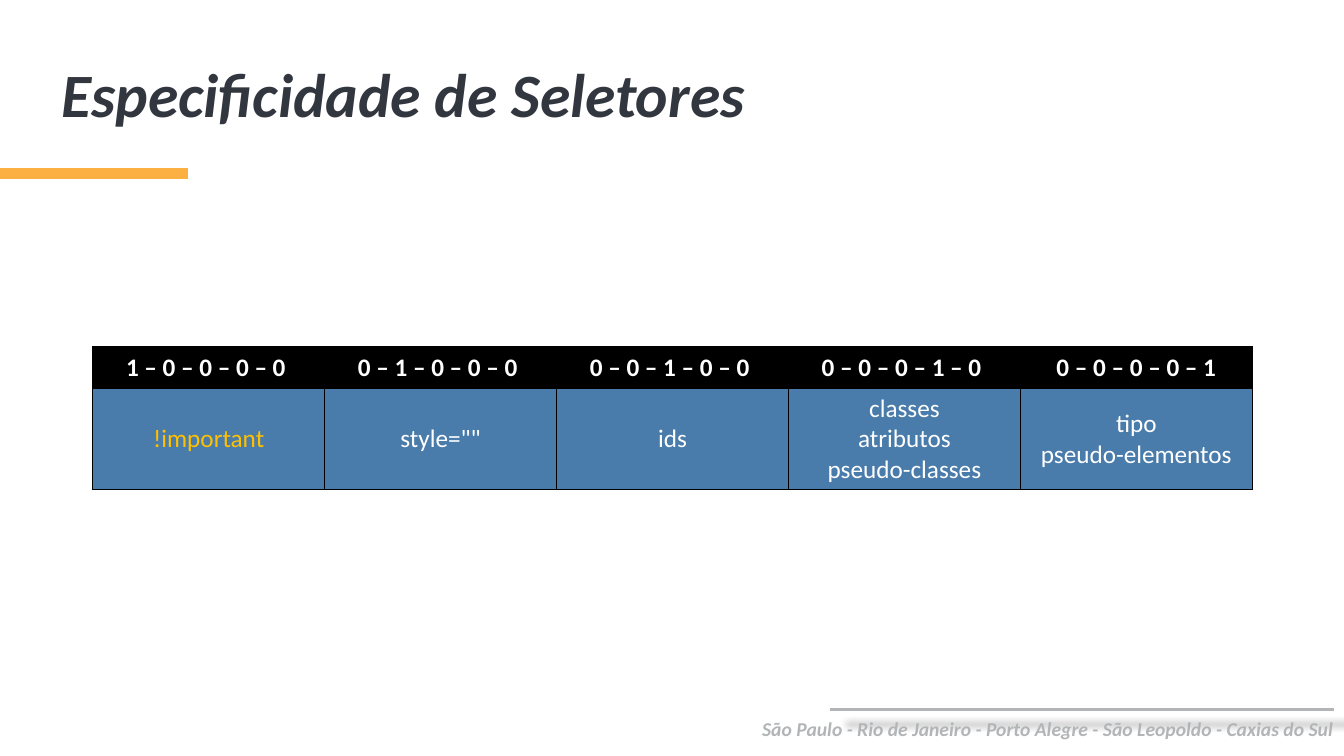
from lxml import etree
from pptx import Presentation
from pptx.dml.color import RGBColor
from pptx.enum.shapes import MSO_CONNECTOR
from pptx.enum.text import MSO_ANCHOR, PP_ALIGN
from pptx.oxml import parse_xml
from pptx.oxml.ns import nsdecls, qn
from pptx.util import Inches, Pt

FONT = "Calibri"
COLORS = {
    "accent": "FBB041",
    "footer": "B2B5B7",
    "title": "32363F",
    "black": "000000",
    "body": "497CAB",
    "white": "FFFFFF",
    "important": "FFC000",
}
SELECTORS = [
    "!important",
    'style=""',
    "ids",
    "classes\natributos\npseudo-classes",
    "tipo\npseudo-elementos",
]


def rgb(name):
    return RGBColor.from_string(COLORS[name])


def style_paragraph(paragraph, size, color, bold=False, italic=False, align=None):
    font = paragraph.font
    font.name, font.size = FONT, Pt(size)
    font.bold, font.italic = bold, italic
    font.color.rgb = rgb(color)
    paragraph.alignment = align


def add_rule(slide, left, right, y, color, width):
    """Draw a horizontal line with no shadow and return its effect list."""
    rule = slide.shapes.add_connector(
        MSO_CONNECTOR.STRAIGHT, Inches(left), Inches(y), Inches(right), Inches(y))
    rule.line.color.rgb = rgb(color)
    rule.line.width = Pt(width)
    return etree.SubElement(rule._element.spPr, qn("a:effectLst"))


def add_soft_shadow(effects):
    effects.append(parse_xml(
        f'<a:outerShdw {nsdecls("a")} blurRad="{Pt(5)}" sx="102000" sy="102000" '
        f'algn="ctr" rotWithShape="0"><a:srgbClr val="{COLORS["black"]}">'
        '<a:alpha val="40000"/></a:srgbClr></a:outerShdw>'))


def add_label(slide, text, left, top, width, height, size, color,
              align=PP_ALIGN.LEFT, anchor=MSO_ANCHOR.TOP, spacing=1.0):
    label = slide.shapes.add_textbox(
        Inches(left), Inches(top), Inches(width), Inches(height))
    frame = label.text_frame
    frame.word_wrap = True
    frame.vertical_anchor = anchor
    frame.text = text
    paragraph = frame.paragraphs[0]
    style_paragraph(paragraph, size, color, bold=True, italic=True, align=align)
    paragraph.line_spacing = spacing


def add_borders(cell):
    properties = cell._tc.get_or_add_tcPr()
    for position, side in enumerate(("lnL", "lnR", "lnT", "lnB")):
        properties.insert(position, parse_xml(
            f'<a:{side} {nsdecls("a")} w="{Pt(1)}"><a:solidFill>'
            f'<a:srgbClr val="{COLORS["black"]}"/></a:solidFill></a:{side}>'))


def fill_cell(cell, text, fill, color, bold):
    cell.text = text
    cell.vertical_anchor = MSO_ANCHOR.MIDDLE
    cell.fill.solid()
    cell.fill.fore_color.rgb = rgb(fill)
    for paragraph in cell.text_frame.paragraphs:
        style_paragraph(paragraph, 18, color, bold=bold, align=PP_ALIGN.CENTER)
    add_borders(cell)


def specificity(rank):
    """Weight of a selector group: a single 1 in the position of its rank."""
    last = len(SELECTORS) - 1
    weight = " – ".join(str(int(i == rank)) for i in range(last + 1))
    return weight if rank == last else weight + " "


def add_specificity_table(slide):
    table = slide.shapes.add_table(
        2, len(SELECTORS), Inches(0.92), Inches(3.44), Inches(11.5), Inches(1.42)).table
    table.rows[0].height = Inches(0.41)
    table.rows[1].height = Inches(1.01)
    for rank, selector in enumerate(SELECTORS):
        color = "important" if selector == "!important" else "white"
        fill_cell(table.cell(0, rank), specificity(rank), "black", "white", True)
        fill_cell(table.cell(1, rank), selector, "body", color, False)


def main():
    deck = Presentation()
    deck.slide_width, deck.slide_height = Inches(13.33), Inches(7.5)
    slide = deck.slides.add_slide(deck.slide_layouts[6])

    # Accent bar and footer
    add_rule(slide, 0, 1.86, 1.72, "accent", 7.75)
    add_soft_shadow(add_rule(slide, 8.23, 13.23, 7.04, "footer", 2.25))
    add_label(slide,
              "São Paulo - Rio de Janeiro - Porto Alegre - São Leopoldo - Caxias do Sul",
              5.44, 7.06, 7.89, 0.34, 14, "footer", align=PP_ALIGN.RIGHT)

    # Title
    add_label(slide, "Especificidade de Seletores", 0.51, 0.4, 12.37, 1.13, 44,
              "title", anchor=MSO_ANCHOR.MIDDLE, spacing=0.9)

    # Selector weights
    add_specificity_table(slide)

    deck.save("out.pptx")


if __name__ == "__main__":
    main()
